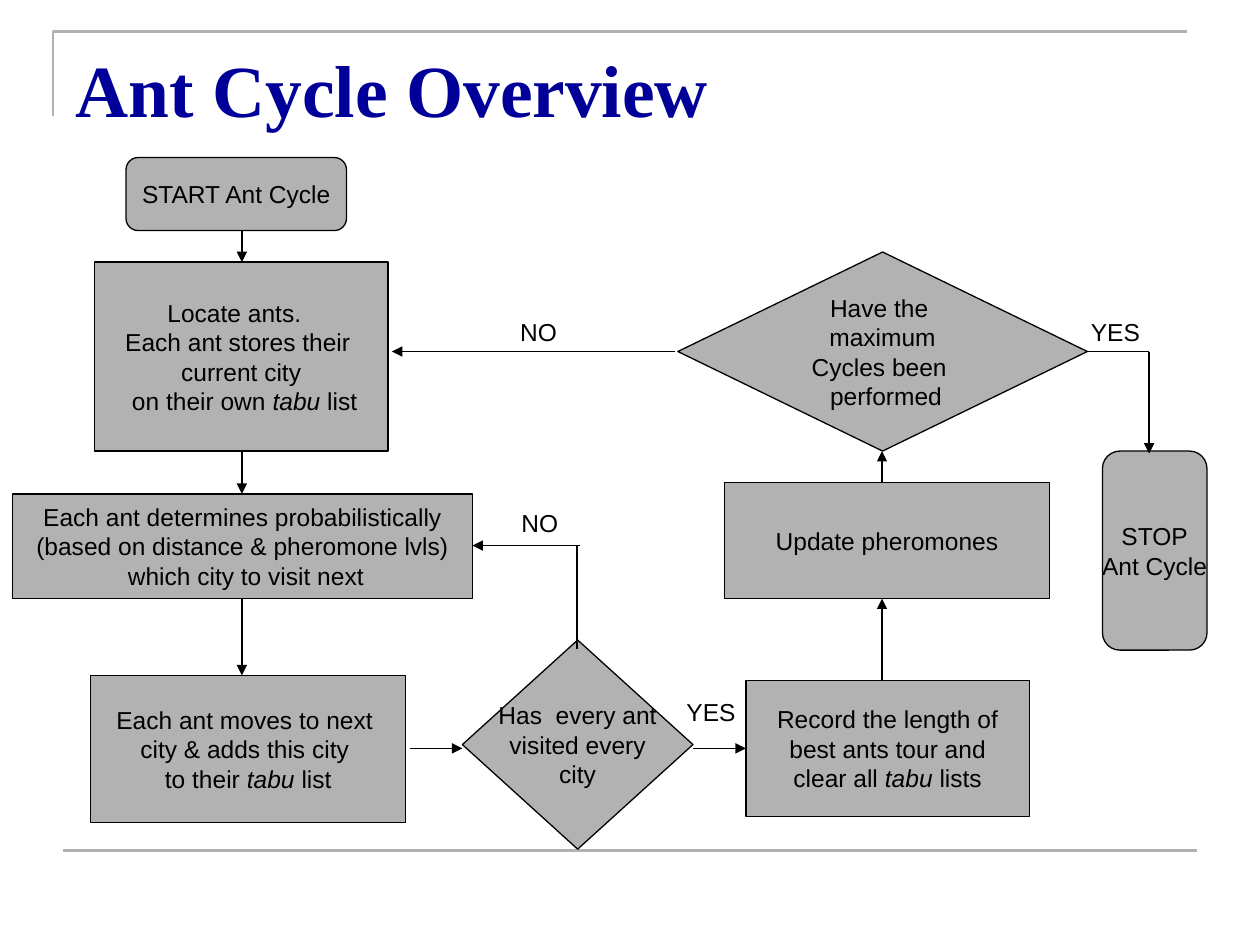
"""Build the ant cycle flowchart slide."""
from lxml import etree
from pptx import Presentation
from pptx.dml.color import RGBColor
from pptx.enum.shapes import MSO_CONNECTOR, MSO_SHAPE
from pptx.enum.text import MSO_ANCHOR, MSO_AUTO_SIZE, PP_ALIGN
from pptx.oxml.ns import qn
from pptx.util import Pt

PX = 9144
LINE = MSO_CONNECTOR.STRAIGHT
STEP = MSO_SHAPE.FLOWCHART_PROCESS
TEST = MSO_SHAPE.FLOWCHART_DECISION
END = MSO_SHAPE.FLOWCHART_ALTERNATE_PROCESS
LEFT, MID = PP_ALIGN.LEFT, PP_ALIGN.CENTER
COLORS = {"gray": "B2B2B2", "ink": "000000", "navy": "000099"}
BODY = {"name": "Arial", "size": Pt(14), "bold": False}
HEAD = {"name": "Times New Roman", "size": Pt(42), "bold": True}
FRAME = {"vertical_anchor": MSO_ANCHOR.MIDDLE, "word_wrap": False}
LABEL = {"vertical_anchor": MSO_ANCHOR.TOP, "word_wrap": True}
TITLE = {**LABEL, "auto_size": MSO_AUTO_SIZE.NONE}

NODES = [
    (TEST, (367, 508, 183, 166), ["Has  every ant", " visited every \ncity"]),
    (TEST, (538, 200, 325, 158),
     ["Have the ", "maximum", "Cycles been ", " performed"]),
    (END, (100, 125, 175, 58), ["START Ant Cycle"]),
    (STEP, (75, 208, 233, 150),
     ["Locate ants.  \nEach ant stores their ", " current city ",
      " on their own *tabu* list"]),
    (STEP, (10, 392, 365, 83),
     ["Each ant determines probabilistically\n"
      "(based on distance & pheromone lvls)", " which city to visit next"]),
    (STEP, (72, 536, 250, 117),
     ["Each ant moves to next ", "city & adds this city ",
      "to their *tabu *list"]),
    (STEP, (592, 540, 225, 108),
     ["Record the length of", " best ants tour and \nclear all *tabu* lists"]),
    (STEP, (575, 383, 258, 92), ["Update pheromones"]),
    (END, (875, 358, 83, 158), ["STOP", "Ant Cycle"]),
]
ARROWS = [
    (192, 183, 192, 208), (192, 358, 192, 392), (192, 475, 192, 536),
    (325, 594, 367, 594), (550, 594, 592, 594), (700, 540, 700, 475),
    (700, 383, 700, 358), (460, 433, 375, 433), (912, 279, 912, 360),
    (536, 279, 311, 279),
]
STEMS = [(458, 515, 458, 433), (862, 279, 912, 279)]
TAGS = [("NO", 404, 398), ("YES", 535, 548), ("YES", 856, 247), ("NO", 403, 247)]


def scale(nums):
    """Turn px into EMU."""
    return [n * PX for n in nums]


def tint(name):
    """Look up a colour by name."""
    return RGBColor.from_string(COLORS[name])


def apply(item, vals):
    """Set each format value on an item."""
    for key, val in vals.items():
        setattr(item, key, val)


def write(frame, paras, look, font, align, color="ink"):
    """Fill a text frame; stars enclose italics, newlines break lines."""
    apply(frame, look)
    for i, text in enumerate(paras):
        para = frame.paragraphs[0] if i == 0 else frame.add_paragraph()
        para.alignment = align
        for j, part in enumerate(text.split("*")):
            for k, row in enumerate(part.split("\n")):
                if k:
                    para.add_line_break()
                run = para.add_run()
                run.text = row
                apply(run.font, {**font, "italic": j % 2 == 1})
                run.font.color.rgb = tint(color)
        for brk in para._p.findall(qn("a:br")):
            etree.SubElement(brk, qn("a:rPr"), sz=str(font["size"].centipoints))


def stroke(line, color, width):
    """Set the colour and width of a line."""
    line.color.rgb = tint(color)
    line.width = Pt(width)


def add_node(slide, kind, box, paras):
    """Add one flowchart shape with its text."""
    node = slide.shapes.add_shape(kind, *scale(box))
    node.shadow.inherit = False
    node.fill.solid()
    node.fill.fore_color.rgb = tint("gray")
    stroke(node.line, "ink", 0.75)
    write(node.text_frame, paras, FRAME, BODY, MID)


def add_line(slide, ends, color="ink", width=0.75, arrow=False):
    """Add a straight line, with an arrowhead if asked."""
    link = slide.shapes.add_connector(LINE, *scale(ends))
    stroke(link.line, color, width)
    if arrow:
        etree.SubElement(link.line._get_or_add_ln(), qn("a:tailEnd"),
                         type="triangle", w="med", len="med")
    etree.SubElement(link._element.spPr, qn("a:effectLst"))


def add_tag(slide, text, left, top):
    """Add a branch label."""
    box = slide.shapes.add_textbox(*scale((left, top, 67, 34)))
    write(box.text_frame, [text], LABEL, BODY, LEFT)


def add_rules(slide):
    """Add the corner rule and the bottom rule."""
    path = slide.shapes.build_freeform(42, 92, scale=PX)
    path.add_line_segments([(42, 25), (942, 25)], close=False)
    rule = path.convert_to_shape()
    rule.shadow.inherit = False
    rule.fill.background()
    stroke(rule.line, "gray", 1.5)
    add_line(slide, (50, 675, 950, 675), "gray", 1.5)


def add_title(slide, text):
    """Place and format the title."""
    title = slide.shapes.title
    box = scale((50, 30, 900, 125))
    apply(title, dict(zip(("left", "top", "width", "height"), box)))
    write(title.text_frame, [text], TITLE, HEAD, LEFT, "navy")


def main():
    """Build and save the deck."""
    deck = Presentation()
    deck.slide_width, deck.slide_height = scale((1000, 750))
    slide = deck.slides.add_slide(deck.slide_layouts[5])
    add_rules(slide)
    add_title(slide, "Ant Cycle Overview")
    for node in NODES:
        add_node(slide, *node)
    for ends in STEMS:
        add_line(slide, ends)
    for ends in ARROWS:
        add_line(slide, ends, arrow=True)
    for tag in TAGS:
        add_tag(slide, *tag)
    deck.save("out.pptx")


if __name__ == "__main__":
    main()
